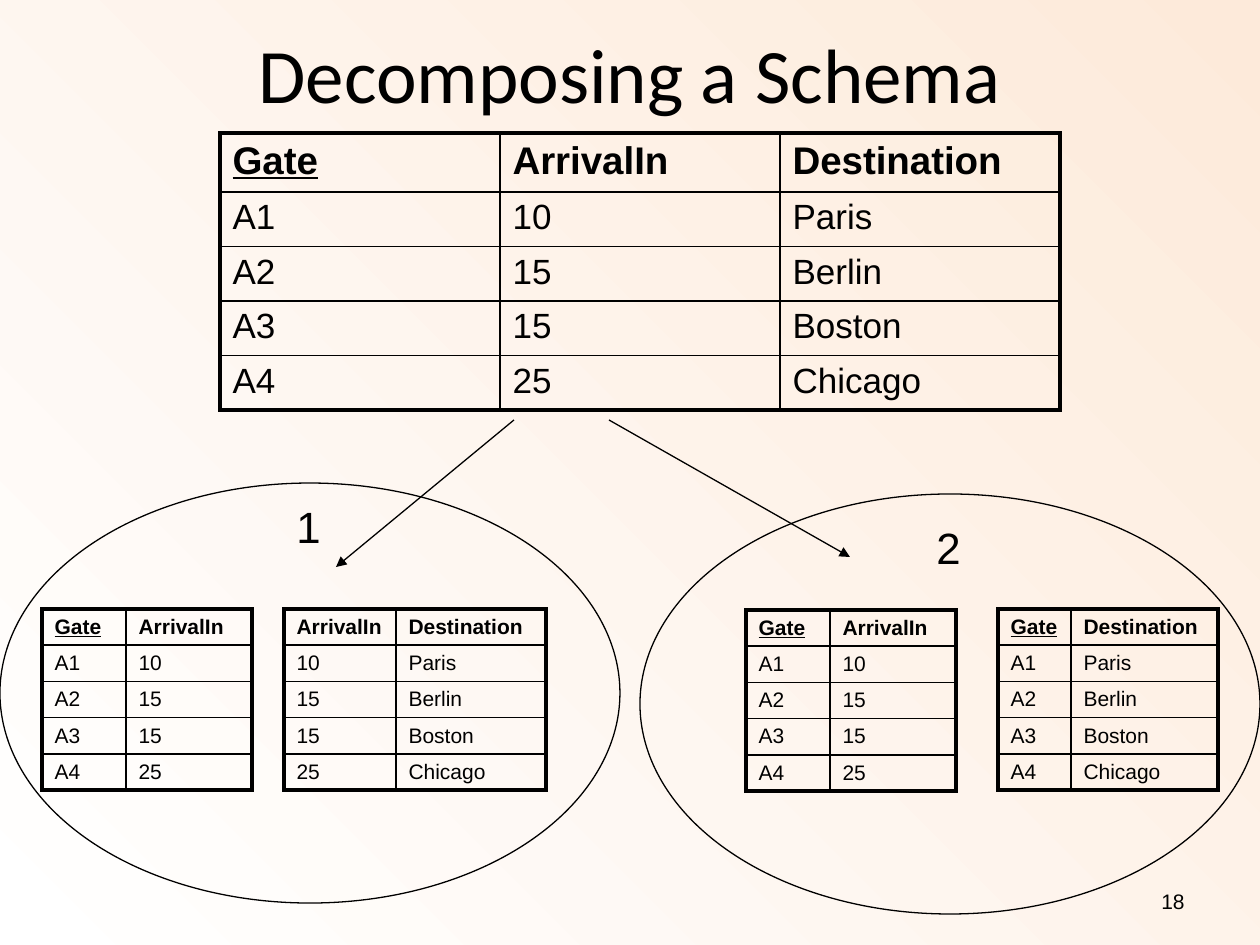
from dataclasses import dataclass

from lxml.etree import SubElement
from pptx import Presentation
from pptx.dml.color import RGBColor
from pptx.enum.shapes import MSO_CONNECTOR, MSO_SHAPE
from pptx.enum.text import MSO_ANCHOR, PP_ALIGN
from pptx.oxml import parse_xml
from pptx.oxml.ns import nsdecls, qn
from pptx.util import Emu, Pt

PX_PER_INCH = 126


def px(length: float) -> Emu:
    return Emu(round(length * 914400 / PX_PER_INCH))


@dataclass(frozen=True)
class Theme:
    ink: str = "000000"
    background_start: str = "FFFFFF"
    background_end: str = "FDEADA"
    title_font: str = "Calibri"
    body_font: str = "Arial"
    title_size: int = 44
    label_size: int = 25
    small_size: int = 12
    frame_width: float = 2.25
    grid_width: float = 1
    line_width: float = 0.75


@dataclass(frozen=True)
class Relation:
    """A table showing some attributes of the flight data."""
    left: int
    top: int
    column_widths: tuple[int, ...]
    attributes: tuple[str, ...]
    height: int = 181
    header_height: int = 36
    header_size: int = 12
    body_size: int = 12


@dataclass(frozen=True)
class Decomposition:
    """A numbered ellipse, with the arrow that leads to it."""
    number: str
    ellipse: tuple[int, int, int, int]
    label: tuple[int, int, int, int]
    arrow: tuple[int, int, int, int]


THEME = Theme()
KEY = "Gate"
FLIGHTS = {
    "Gate": ("A1", "A2", "A3", "A4"),
    "ArrivalIn": ("10", "15", "15", "25"),
    "Destination": ("Paris", "Berlin", "Boston", "Chicago"),
}
RELATIONS = (
    Relation(220, 133, (280, 280, 280), tuple(FLIGHTS), 277, 59, 22, 20),
    Relation(42, 609, (84, 126), ("Gate", "ArrivalIn")),
    Relation(284, 609, (112, 150), ("ArrivalIn", "Destination")),
    Relation(746, 610, (84, 126), ("Gate", "ArrivalIn")),
    Relation(998, 609, (73, 147), ("Gate", "Destination")),
)
DECOMPOSITIONS = (
    Decomposition("1", (0, 483, 620, 420), (284, 494, 84, 65), (514, 420, 336, 567)),
    Decomposition("2", (640, 494, 620, 420), (924, 515, 84, 65), (609, 420, 850, 557)),
)


def set_font(paragraph, size: float, bold: bool = False, name: str = THEME.body_font) -> None:
    font = paragraph.font
    font.name, font.size, font.bold = name, Pt(size), bold
    font.color.rgb = RGBColor.from_string(THEME.ink)


def set_line(line) -> None:
    line.color.rgb = RGBColor.from_string(THEME.ink)
    line.width = Pt(THEME.line_width)


def set_background(slide) -> None:
    background = parse_xml(
        f'<p:bg {nsdecls("p", "a")}><p:bgPr><a:gradFill rotWithShape="1"><a:gsLst>'
        f'<a:gs pos="0"><a:srgbClr val="{THEME.background_start}"/></a:gs>'
        f'<a:gs pos="100000"><a:srgbClr val="{THEME.background_end}"/></a:gs></a:gsLst>'
        '<a:path path="circle"><a:fillToRect t="100000" r="100000"/></a:path>'
        '</a:gradFill><a:effectLst/></p:bgPr></p:bg>')
    slide.element.cSld.insert(0, background)


def set_borders(cell, widths: dict[str, float]) -> None:
    properties = cell._tc.get_or_add_tcPr()
    for side, width in widths.items():
        border = SubElement(properties, qn(f"a:ln{side}"), w=str(Pt(width)))
        fill = SubElement(border, qn("a:solidFill"))
        SubElement(fill, qn("a:srgbClr"), val=THEME.ink)


def add_relation(slide, relation: Relation) -> None:
    rows = [relation.attributes, *zip(*(FLIGHTS[name] for name in relation.attributes))]
    last_row, last_column = len(rows) - 1, len(relation.attributes) - 1
    table = slide.shapes.add_table(
        len(rows), len(relation.attributes), px(relation.left), px(relation.top),
        px(sum(relation.column_widths)), px(relation.height)).table
    table.first_row = table.horz_banding = False
    for column, width in zip(table.columns, relation.column_widths):
        column.width = px(width)

    body_height = (relation.height - relation.header_height) / last_row
    for i, values in enumerate(rows):
        header = i == 0
        table.rows[i].height = px(relation.header_height if header else body_height)
        for j, value in enumerate(values):
            cell = table.cell(i, j)
            # Heavy outer frame, thin inner grid
            outer = {"L": j == 0, "R": j == last_column, "T": header, "B": i == last_row}
            set_borders(cell, {side: THEME.frame_width if edge else THEME.grid_width
                               for side, edge in outer.items()})
            cell.fill.background()
            cell.text = value
            paragraph = cell.text_frame.paragraphs[0]
            set_font(paragraph, relation.header_size if header else relation.body_size, header)
            if value == KEY:
                paragraph.font.underline = True


def add_arrow(slide, ends: tuple[int, int, int, int]) -> None:
    arrow = slide.shapes.add_connector(MSO_CONNECTOR.STRAIGHT, *map(px, ends))
    set_line(arrow.line)
    SubElement(arrow.line._get_or_add_ln(), qn("a:tailEnd"), type="triangle")
    SubElement(arrow._element.spPr, qn("a:effectLst"))


def add_ellipse(slide, box: tuple[int, int, int, int]) -> None:
    ellipse = slide.shapes.add_shape(MSO_SHAPE.OVAL, *map(px, box))
    ellipse.shadow.inherit = False
    ellipse.fill.background()
    set_line(ellipse.line)


def add_text(slide, text: str, box: tuple[int, int, int, int], size: float,
             align=PP_ALIGN.LEFT, anchor=MSO_ANCHOR.TOP) -> None:
    frame = slide.shapes.add_textbox(*map(px, box)).text_frame
    frame.word_wrap = True
    frame.vertical_anchor = anchor
    frame.text = text
    frame.paragraphs[0].alignment = align
    set_font(frame.paragraphs[0], size)


def add_title(slide, text: str) -> None:
    title = slide.shapes.title
    title.left, title.top, title.width, title.height = map(px, (63, 10, 1134, 126))
    title.text_frame.text = text
    title.text_frame.vertical_anchor = MSO_ANCHOR.MIDDLE
    paragraph = title.text_frame.paragraphs[0]
    paragraph.alignment = PP_ALIGN.CENTER
    set_font(paragraph, THEME.title_size, name=THEME.title_font)


def main() -> None:
    presentation = Presentation()
    presentation.slide_width, presentation.slide_height = px(1260), px(945)
    slide = presentation.slides.add_slide(presentation.slide_layouts[5])
    set_background(slide)
    add_title(slide, "Decomposing a Schema")

    # Full schema and its parts
    for relation in RELATIONS:
        add_relation(slide, relation)

    # The two ways to decompose it
    for decomposition in DECOMPOSITIONS:
        add_arrow(slide, decomposition.arrow)
        add_ellipse(slide, decomposition.ellipse)
        add_text(slide, decomposition.number, decomposition.label, THEME.label_size)

    # Slide number
    add_text(slide, "18", (903, 876, 294, 50), THEME.small_size,
             PP_ALIGN.RIGHT, MSO_ANCHOR.MIDDLE)
    presentation.save("out.pptx")


if __name__ == "__main__":
    main()
